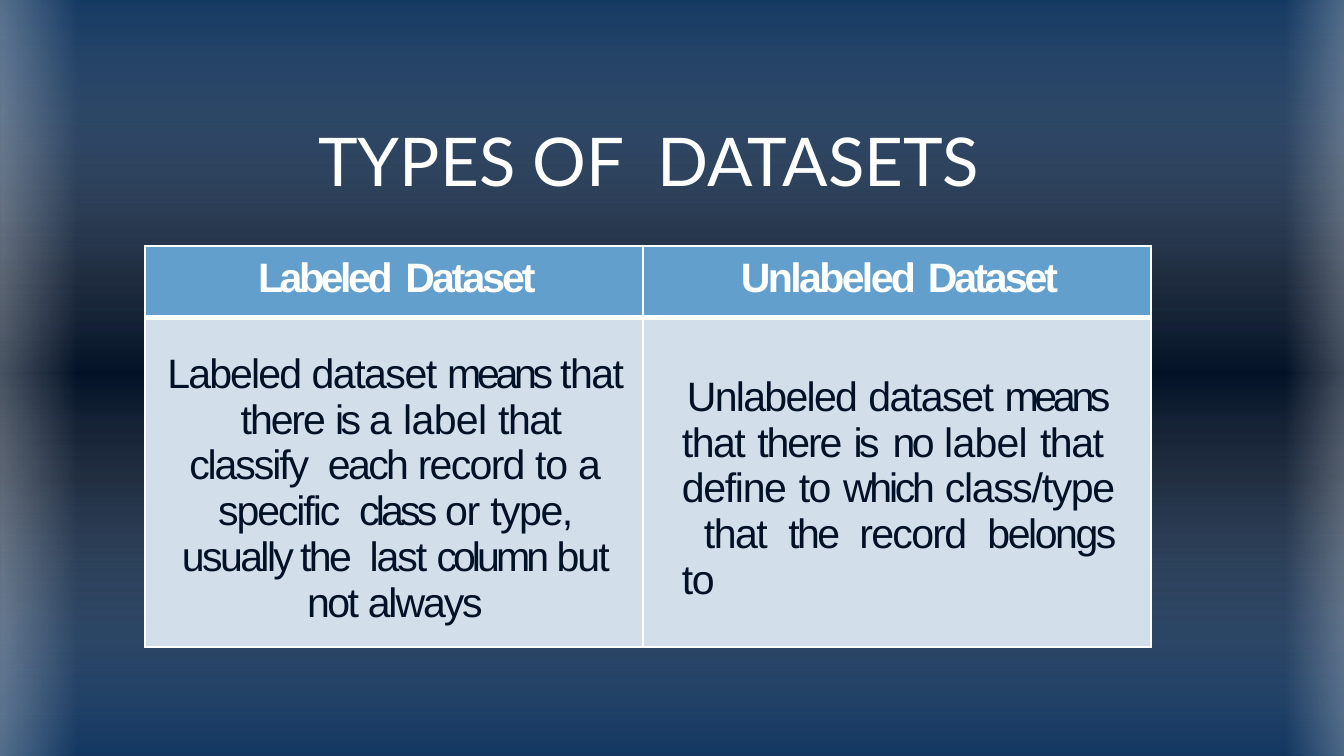
import lxml.etree
import pptx
import pptx.dml.color
import pptx.enum.shapes
import pptx.enum.text
import pptx.oxml.ns
import pptx.util

PX = 914400 / 134.4  # EMU in one px
ALIGN = pptx.enum.text.PP_ALIGN
qn = pptx.oxml.ns.qn


class Theme:
    NAVY = "10355F"
    INK = "031126"
    WHITE = "FFFFFF"
    HEADER = "629FCC"
    BODY = "D2DFEB"
    TITLE_FONT = "Lato"
    TABLE_FONT = "Arial"
    TITLE_SIZE = 36
    TABLE_SIZE = 22


# Each piece of table text carries its own letter spacing in points
LABELED_HEAD = [("Labeled", -1.8), (" ", 0.8), ("Dataset", -1.6)]
UNLABELED_HEAD = [("Unlabeled", -1.4), (" ", 0.2), ("Dataset", -1.6)]
LABELED_BODY = [
    ("Labeled ", -1), ("dataset ", -0.8), ("means ", -2.3), ("that  ", -0.8),
    ("there ", -1.1), ("is ", -1.9), ("a ", -0.1), ("label ", -0.3),
    ("that ", -0.8), ("classify  ", -1.1), ("each ", -1.4), ("record ", -0.9),
    ("to ", -0.7), ("a ", -0.1), ("specific  ", -1.1), ("class ", -2),
    ("or ", -0.7), ("type, ", -0.8), ("usually the  ", -1.4), ("last ", -1.1),
    ("column ", -2.1), ("but ", -1), ("not ", -1.4), ("always", -1.1),
]
UNLABELED_BODY = [
    ("Unlabeled ", -0.9), ("dataset ", -0.8), ("means  ", -2.3), ("that ", -0.8),
    ("there ", -1.1), ("is", -1.9), (" ", -0.3), ("no ", -1.9), ("label ", -0.4),
    ("that  ", -0.8), ("define ", -0.7), ("to ", -0.8), ("which ", -1.7),
    ("class/type  ", -0.7), ("that ", -0.8), ("the ", -1.4), ("record ", -0.9),
    ("belongs ", -1.3), ("to", -0.8),
]


def px(length):
    return pptx.util.Emu(round(length * PX))


def rgb(color):
    return pptx.dml.color.RGBColor.from_string(color)


def write_text(frame, pieces, *, font, size, color, bold=False,
               align=ALIGN.LEFT, left=0, first=0, line=None):
    """Write (text, letter spacing) pieces as one paragraph."""
    paragraph = frame.paragraphs[0]
    paragraph.alignment = align
    if line:
        paragraph.line_spacing = line
    properties = paragraph._p.get_or_add_pPr()
    properties.set("marL", str(px(left)))
    properties.set("indent", str(px(first)))
    for words, spacing in pieces:
        run = paragraph.add_run()
        run.text = words
        run.font.name = font
        run.font.size = pptx.util.Pt(size)
        run.font.bold = bold
        run.font.color.rgb = rgb(color)
        if spacing:
            run._r.get_or_add_rPr().set("spc", str(round(spacing * 100)))


def set_gradient(fill, owner, stops, angle):
    """Fill with (position %, color, opacity %) stops."""
    fill.gradient()
    fill.gradient_angle = angle
    stop_list = owner.find(".//" + qn("a:gsLst"))
    for old_stop in list(stop_list):
        stop_list.remove(old_stop)
    for position, color, opacity in stops:
        stop = lxml.etree.SubElement(stop_list, qn("a:gs"), pos=str(position * 1000))
        tint = lxml.etree.SubElement(stop, qn("a:srgbClr"), val=color)
        if opacity < 100:
            lxml.etree.SubElement(tint, qn("a:alpha"), val=str(opacity * 1000))


def add_glow(slide, left, top, width, height, stops, rotation=0):
    glow = slide.shapes.add_shape(pptx.enum.shapes.MSO_SHAPE.RECTANGLE,
                                  px(left), px(top), px(width), px(height))
    glow.rotation = rotation
    glow.shadow.inherit = False
    glow.line.fill.background()
    set_gradient(glow.fill, glow._element, stops, 180)


def add_title(slide, words):
    title = slide.shapes.add_textbox(px(176), px(120), px(945), px(86))
    frame = title.text_frame
    frame.word_wrap = True
    frame.vertical_anchor = pptx.enum.text.MSO_ANCHOR.MIDDLE
    frame.margin_left = frame.margin_right = frame.margin_bottom = 0
    frame.margin_top = px(9)
    write_text(frame, [(words, 0)], font=Theme.TITLE_FONT, size=Theme.TITLE_SIZE,
               color=Theme.WHITE, align=ALIGN.CENTER, left=1,
               line=pptx.util.Pt(34.6))


def set_borders(cell, top, bottom):
    properties = cell._tc.get_or_add_tcPr()
    for side, points in (("L", 1), ("R", 1), ("T", top), ("B", bottom)):
        border = lxml.etree.SubElement(properties, qn("a:ln" + side),
                                       w=str(pptx.util.Pt(points)))
        paint = lxml.etree.SubElement(border, qn("a:solidFill"))
        lxml.etree.SubElement(paint, qn("a:srgbClr"), val=Theme.WHITE)


def fill_cell(cell, pieces, *, header, inset_top, inset_right=0, **layout):
    set_borders(cell, *((1, 3) if header else (3, 1)))
    cell.fill.solid()
    cell.fill.fore_color.rgb = rgb(Theme.HEADER if header else Theme.BODY)
    cell.margin_left = cell.margin_bottom = 0
    cell.margin_top = px(inset_top)
    cell.margin_right = px(inset_right)
    write_text(cell.text_frame, pieces, font=Theme.TABLE_FONT,
               size=Theme.TABLE_SIZE, bold=header,
               color=Theme.WHITE if header else Theme.INK, **layout)


def add_comparison(slide):
    widths, heights = (498, 508), (72, 329)
    comparison = slide.shapes.add_table(2, 2, px(145), px(246), px(sum(widths)),
                                        px(sum(heights))).table
    comparison.horz_banding = False
    for column, width in zip(comparison.columns, widths):
        column.width = px(width)
    for row, height in zip(comparison.rows, heights):
        row.height = px(height)

    # Header row
    fill_cell(comparison.cell(0, 0), LABELED_HEAD, header=True, inset_top=9, left=113)
    fill_cell(comparison.cell(0, 1), UNLABELED_HEAD, header=True, inset_top=9, left=98)

    # Definitions
    fill_cell(comparison.cell(1, 0), LABELED_BODY, header=False, inset_top=33,
              inset_right=19, align=ALIGN.CENTER, left=21, line=1.0)
    fill_cell(comparison.cell(1, 1), UNLABELED_BODY, header=False, inset_top=56,
              inset_right=37, align=ALIGN.JUSTIFY, left=39, first=5, line=1.0)


def main():
    deck = pptx.Presentation()
    deck.slide_width, deck.slide_height = px(1344), px(756)
    slide = deck.slides.add_slide(deck.slide_layouts[6])

    # Backdrop with a dark band and soft side glows
    set_gradient(slide.background.fill, slide._element,
                 [(0, Theme.NAVY, 100), (37, Theme.INK, 100),
                  (63, Theme.INK, 100), (100, Theme.NAVY, 100)], 270)
    add_glow(slide, 296, -313, 781, 1372,
             [(0, Theme.NAVY, 59), (50, Theme.WHITE, 0), (100, Theme.NAVY, 59)],
             rotation=270)
    edge = [(0, Theme.WHITE, 47), (100, Theme.WHITE, 0)]
    add_glow(slide, -55, -12, 132, 780, edge, rotation=180)
    add_glow(slide, 1285, -17, 114, 780, edge)

    add_title(slide, "TYPES OF  DATASETS")
    add_comparison(slide)
    deck.save("out.pptx")


if __name__ == "__main__":
    main()
